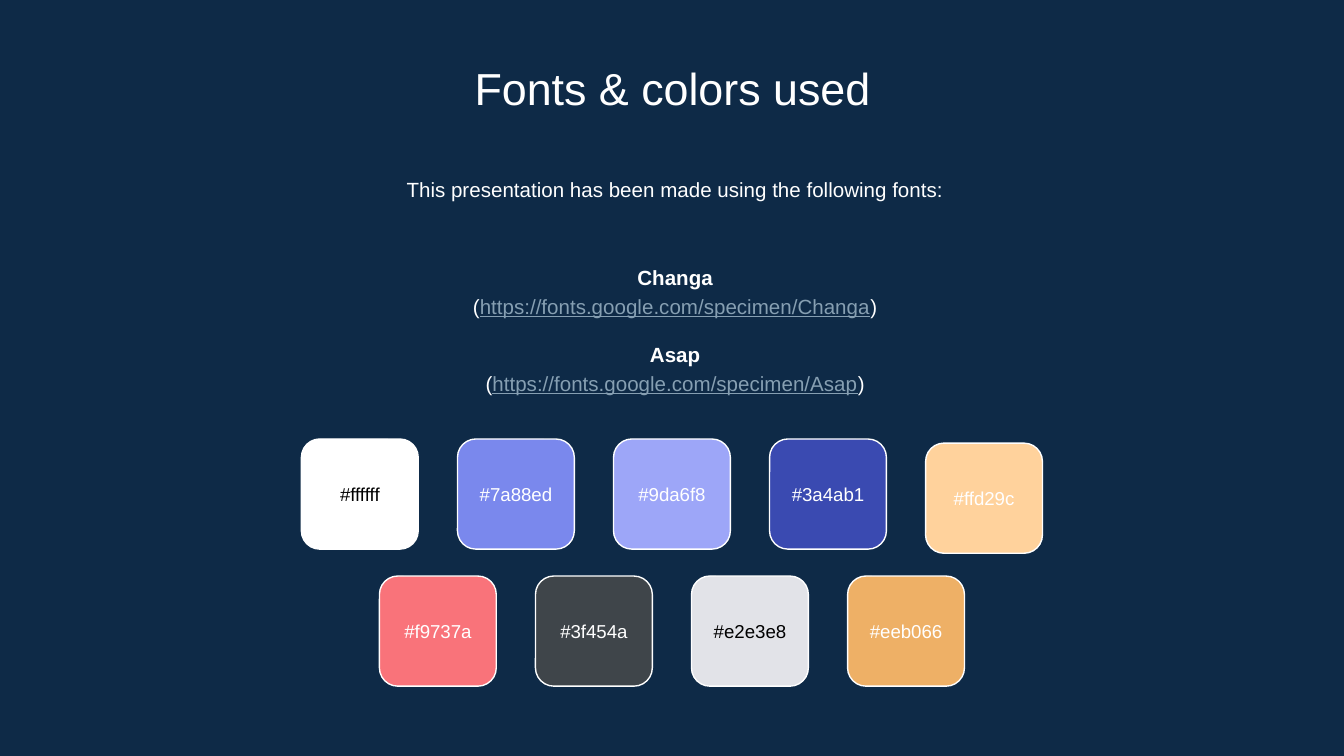
import dataclasses

import pptx
import pptx.dml.color
import pptx.enum.shapes
import pptx.enum.text
import pptx.util

Pt = pptx.util.Pt
ANCHOR = pptx.enum.text.MSO_ANCHOR

PAGE_WIDTH, PAGE_HEIGHT = 720, 405
NAVY, WHITE, BLACK, LINK = "0E2A47", "FFFFFF", "000000", "869FB2"
SWATCH_WIDTH, SWATCH_HEIGHT, SWATCH_PITCH = 62.6, 59, 83.6
LABEL_HEIGHT = 34.6


@dataclasses.dataclass
class Span:
    text: str
    size: float = 11
    color: str = WHITE
    bold: bool = False
    underline: bool = False


@dataclasses.dataclass
class Swatch:
    color: str
    label_color: str = WHITE
    drop: float = 0


@dataclasses.dataclass
class SwatchRow:
    top: float
    swatches: list[Swatch]


@dataclasses.dataclass
class FontCredit:
    name: str
    address: str


SWATCH_ROWS = [
    SwatchRow(235.2, [Swatch("ffffff", BLACK), Swatch("7a88ed"), Swatch("9da6f8"),
                      Swatch("3a4ab1"), Swatch("ffd29c", drop=2.2)]),
    SwatchRow(308.6, [Swatch("f9737a"), Swatch("3f454a"), Swatch("e2e3e8", BLACK),
                      Swatch("eeb066")]),
]
FONT_CREDITS = [
    FontCredit("Changa", "https://fonts.google.com/specimen/Changa"),
    FontCredit("Asap", "https://fonts.google.com/specimen/Asap"),
]


def rgb(color: str) -> pptx.dml.color.RGBColor:
    return pptx.dml.color.RGBColor.from_string(color.upper())


def set_all(target, values: dict) -> None:
    for name, value in values.items():
        setattr(target, name, value)


def place(box, left: float, top: float, width: float, height: float) -> None:
    set_all(box, {"left": Pt(left), "top": Pt(top),
                  "width": Pt(width), "height": Pt(height)})


def write(box, lines: list[list[Span]], anchor=ANCHOR.TOP, spacing: float = 1.0) -> None:
    frame = box.text_frame
    set_all(frame, {"word_wrap": True, "vertical_anchor": anchor,
                    "auto_size": pptx.enum.text.MSO_AUTO_SIZE.NONE,
                    "margin_left": Pt(7.2), "margin_right": Pt(7.2),
                    "margin_top": Pt(7.2), "margin_bottom": Pt(7.2)})
    for index, spans in enumerate(lines):
        para = frame.add_paragraph() if index else frame.paragraphs[0]
        set_all(para, {"alignment": pptx.enum.text.PP_ALIGN.CENTER,
                       "line_spacing": spacing, "space_before": Pt(0)})
        for span in spans:
            run = para.add_run()
            run.text = span.text
            set_all(run.font, {"name": "Arial", "size": Pt(span.size),
                               "bold": span.bold, "underline": span.underline})
            run.font.color.rgb = rgb(span.color)


def add_text(page, left: float, top: float, width: float, height: float,
             lines: list[list[Span]], **style):
    box = page.shapes.add_textbox(Pt(left), Pt(top), Pt(width), Pt(height))
    write(box, lines, **style)
    return box


def add_swatch(page, swatch: Swatch, left: float, top: float) -> None:
    tile = page.shapes.add_shape(
        pptx.enum.shapes.MSO_SHAPE.ROUNDED_RECTANGLE,
        Pt(left), Pt(top), Pt(SWATCH_WIDTH), Pt(SWATCH_HEIGHT))
    tile.shadow.inherit = False
    tile.fill.solid()
    tile.fill.fore_color.rgb = rgb(swatch.color)
    tile.line.color.rgb = rgb(WHITE)
    tile.line.width = Pt(0.75)
    add_text(page, left, top + (SWATCH_HEIGHT - LABEL_HEIGHT) / 2,
             SWATCH_WIDTH, LABEL_HEIGHT,
             [[Span(f"#{swatch.color}", 10, swatch.label_color)]], anchor=ANCHOR.MIDDLE)


def add_swatch_row(page, row: SwatchRow) -> None:
    row_width = (len(row.swatches) - 1) * SWATCH_PITCH + SWATCH_WIDTH
    start = (PAGE_WIDTH - row_width) / 2
    for index, swatch in enumerate(row.swatches):
        add_swatch(page, swatch, start + index * SWATCH_PITCH, row.top + swatch.drop)


def main() -> None:
    deck = pptx.Presentation()
    set_all(deck, {"slide_width": Pt(PAGE_WIDTH), "slide_height": Pt(PAGE_HEIGHT)})
    page = deck.slides.add_slide(deck.slide_layouts.get_by_name("Title Only"))
    page.background.fill.solid()
    page.background.fill.fore_color.rgb = rgb(NAVY)

    # Title
    title = page.shapes.title
    place(title, 82.8, 25.2, 555, 38.2)
    write(title, [[Span("Fonts & colors used", 24)]])

    # Introduction
    add_text(page, 84.2, 85.7, 555, 34.6,
             [[Span("This presentation has been made using the following fonts:")]],
             spacing=1.15)

    # Font names, each above its address
    lines = []
    for credit in FONT_CREDITS:
        lines.append([Span(credit.name, bold=True)])
        lines.append([Span("("), Span(credit.address, color=LINK, underline=True), Span(")")])
    credits_box = add_text(page, 84.2, 126.7, 555, 98.6, lines,
                           anchor=ANCHOR.MIDDLE, spacing=1.15)
    for para in credits_box.text_frame.paragraphs[2::2]:
        para.space_before = Pt(11)

    # Colour swatches
    for row in SWATCH_ROWS:
        add_swatch_row(page, row)

    deck.save("out.pptx")


if __name__ == "__main__":
    main()
